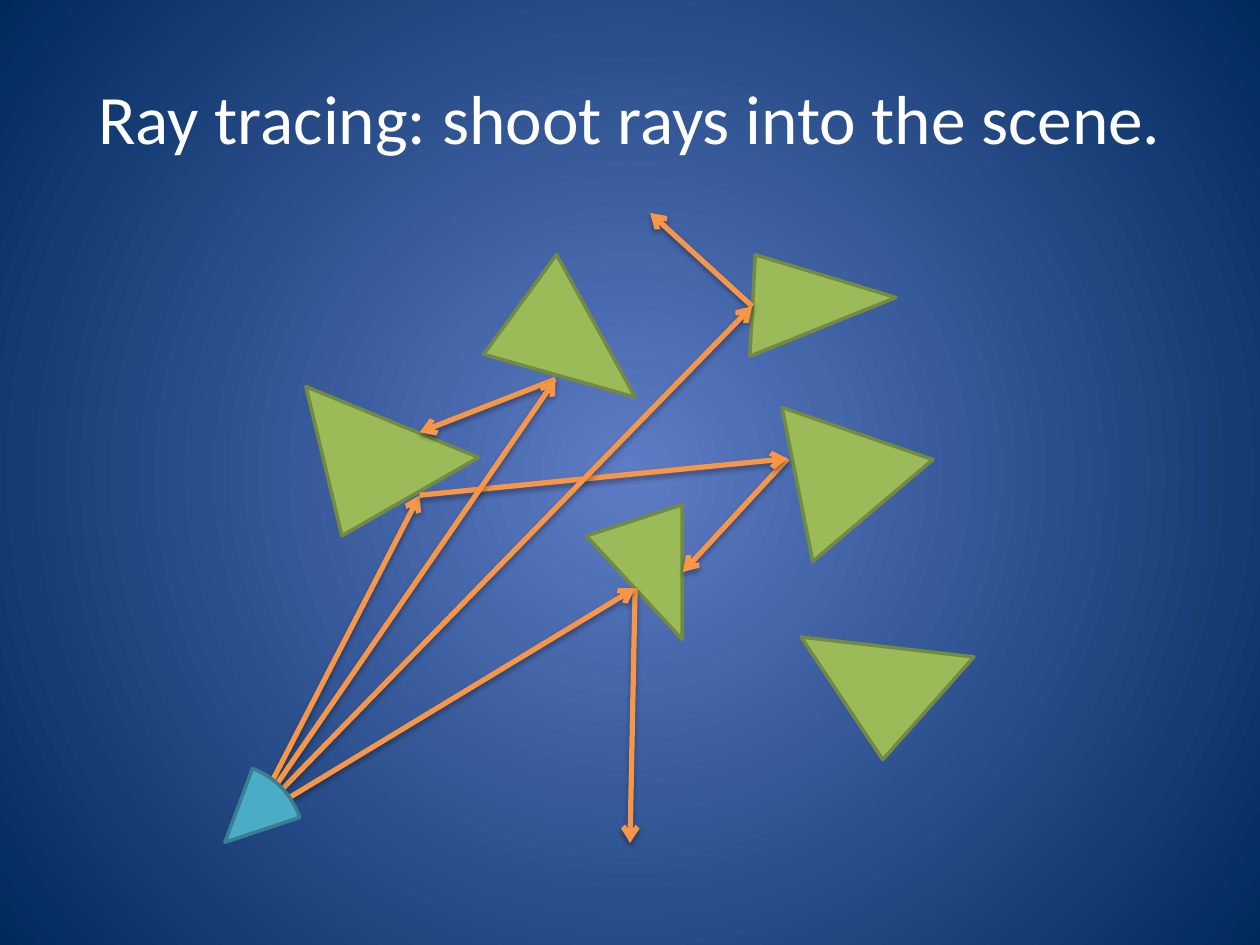
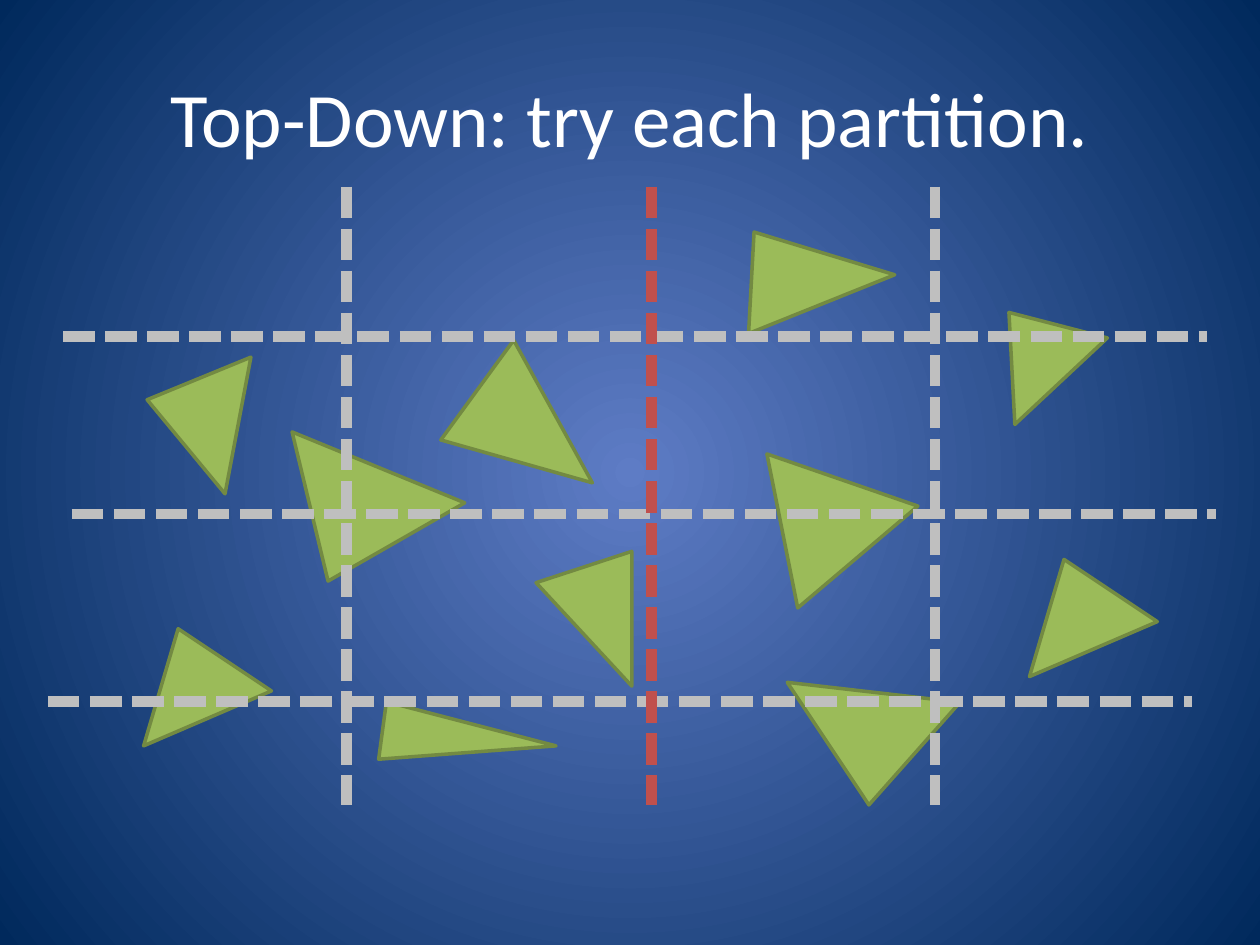
from lxml import etree
from pptx import Presentation
from pptx.dml.color import RGBColor
from pptx.enum.dml import MSO_LINE
from pptx.enum.shapes import MSO_CONNECTOR, MSO_SHAPE
from pptx.enum.text import MSO_ANCHOR, MSO_AUTO_SIZE, PP_ALIGN
from pptx.oxml.ns import qn
from pptx.util import Pt

COLORS = {
    "glow": "5E7CC5", "night": "00295C", "title": "FFFFFF",
    "triangle": "9BBB59", "triangle_edge": "738A42",
    "eye": "4BACC6", "eye_edge": "377F92",
    "ray": "F79646", "shadow": "000000",
    "candidate": "BFBFBF", "chosen": "C0504D",
}

# Triangle forms: width, height, rotation, apex position
FORMS = {
    "left": (90, 84.2, 330.2, 0.273),
    "upper right": (90, 52.6, 338.1, 0.273),
    "centre": (77, 54.7, 270, 0.768),
    "lower right": (78.5, 81.4, 311.6, 0.273),
    "right": (90, 78.5, 319.7, 0.483),
    "upper": (90, 66.2, 15.8, 0.273),
    "sliver": (33.1, 99.4, 97.7, 0.363),
    "far left": (69.8, 61.2, 50.4, 0.273),
    "far right": (64.1, 55.4, 87, 0.273),
    "corner": (69.8, 61.2, 106.4, 0.273),
}


def rgb(name):
    return RGBColor.from_string(COLORS[name])


class Deck:
    """Holds the shared style and the current slide."""

    def __init__(self):
        self.presentation = Presentation()
        self.presentation.slide_width = Pt(720)
        self.presentation.slide_height = Pt(540)
        self.set_background()

    def set_background(self):
        master = self.presentation.slide_master
        fill = master.background.fill
        fill.gradient()
        for stop, name in zip(fill.gradient_stops, ("glow", "night")):
            stop.color.rgb = rgb(name)
        # Turn the linear gradient into a circle around the centre
        gradient = master.element.find(".//" + qn("p:bg")).find(".//" + qn("a:gradFill"))
        gradient.remove(gradient.find(qn("a:lin")))
        circle = etree.SubElement(gradient, qn("a:path"), path="circle")
        etree.SubElement(circle, qn("a:fillToRect"),
                         {side: "50000" for side in "ltrb"})

    def add_slide(self, title, size):
        layout = self.presentation.slide_layouts[5]
        self.slide = self.presentation.slides.add_slide(layout)
        shape = self.slide.shapes.title
        shape.left, shape.top, shape.width, shape.height = Pt(36), Pt(21.6), Pt(648), Pt(90)
        frame = shape.text_frame
        frame.text = title
        frame.auto_size = MSO_AUTO_SIZE.NONE
        frame.vertical_anchor = MSO_ANCHOR.MIDDLE
        paragraph = frame.paragraphs[0]
        paragraph.alignment = PP_ALIGN.CENTER
        paragraph.font.name = "Calibri"
        paragraph.font.size = Pt(size)
        paragraph.font.color.rgb = rgb("title")

    def add_group(self):
        return self.slide.shapes.add_group_shape().shapes

    def add_preset(self, shapes, preset, box, color, adjustments, rotation=0):
        shape = shapes.add_shape(preset, *map(Pt, box))
        shape.rotation = rotation
        shape.shadow.inherit = False
        for index, value in enumerate(adjustments):
            shape.adjustments[index] = value
        shape.fill.solid()
        shape.fill.fore_color.rgb = rgb(color)
        shape.line.color.rgb = rgb(color + "_edge")
        shape.line.width = Pt(2)

    def add_triangles(self, shapes, places):
        for form, left, top in places:
            width, height, rotation, apex = FORMS[form]
            self.add_preset(shapes, MSO_SHAPE.ISOSCELES_TRIANGLE,
                            (left, top, width, height), "triangle", [apex], rotation)

    def add_line(self, shapes, start, end, color, width):
        line = shapes.add_connector(MSO_CONNECTOR.STRAIGHT, *map(Pt, start + end))
        line.line.color.rgb = rgb(color)
        line.line.width = Pt(width)
        effects = etree.SubElement(line.element.spPr, qn("a:effectLst"))
        return line, effects

    def add_ray(self, shapes, start, end):
        ray, effects = self.add_line(shapes, start, end, "ray", 3)
        etree.SubElement(ray.line._get_or_add_ln(), qn("a:tailEnd"), type="arrow")
        shadow = etree.SubElement(effects, qn("a:outerShdw"), blurRad=str(Pt(3.1)),
                                  dist=str(Pt(1.8)), dir="5400000", rotWithShape="0")
        color = etree.SubElement(shadow, qn("a:srgbClr"), val=COLORS["shadow"])
        etree.SubElement(color, qn("a:alpha"), val="35000")

    def add_partition(self, shapes, start, end, color="candidate"):
        line, _ = self.add_line(shapes, start, end, color, 6)
        line.line.dash_style = MSO_LINE.SQUARE_DOT


def build_ray_tracing(deck):
    deck.add_slide("Ray tracing: shoot rays into the scene.", 39.6)
    deck.add_triangles(deck.add_group(), [
        ("left", 168.5, 205.2), ("upper right", 415.4, 136.1),
        ("centre", 324, 299.5), ("lower right", 460.8, 337),
        ("right", 428.4, 222.5), ("upper", 283.7, 149.8),
    ])

    # Rays from the eye and their bounces
    eye = (144, 468.7)
    left_hit, upper_hit = (239.8, 283), (317.5, 216.7)
    centre_hit, right_hit = (362.9, 336.2), (450, 262.1)
    upper_right_hit = (429.8, 175)
    rays = [
        (upper_hit, (239.8, 247)), (centre_hit, (360, 481.7)),
        (upper_right_hit, (371.5, 121.7)), (eye, left_hit),
        (eye, centre_hit), (right_hit, (390.2, 326.9)),
        (left_hit, right_hit), (eye, upper_right_hit), (eye, upper_hit),
    ]
    shapes = deck.add_group()
    for start, end in rays:
        deck.add_ray(shapes, start, end)
    deck.add_preset(shapes, MSO_SHAPE.PIE, (83.5, 436.3, 90, 90), "eye", (174.32, 205.02))


def build_top_down(deck):
    deck.add_slide("Top-Down: try each partition.", 44)
    deck.add_triangles(deck.slide.shapes, [
        ("left", 160.6, 231.1), ("upper right", 414.7, 123.1),
        ("centre", 295.2, 326.2), ("lower right", 452.9, 362.9),
        ("right", 419.8, 249.1), ("upper", 259.2, 198.7),
        ("sliver", 251.3, 374.4), ("far left", 95, 205.2),
        ("far right", 573.8, 181.4), ("corner", 86.4, 370.8),
        ("corner", 592.6, 331.2),
    ])

    # Candidate partitions, then the chosen one on top
    shapes = deck.add_group()
    top, bottom, length = 106.6, 460.1, 654
    for x in (198, 534.2):
        deck.add_partition(shapes, (x, top), (x, bottom))
    for left, y in ((36, 192.2), (41, 293.8), (27.4, 401)):
        deck.add_partition(shapes, (left, y), (left + length, y))
    deck.add_partition(shapes, (372.2, top), (372.2, bottom), "chosen")


def main():
    deck = Deck()
    build_ray_tracing(deck)
    build_top_down(deck)
    deck.presentation.save("out.pptx")


if __name__ == "__main__":
    main()
